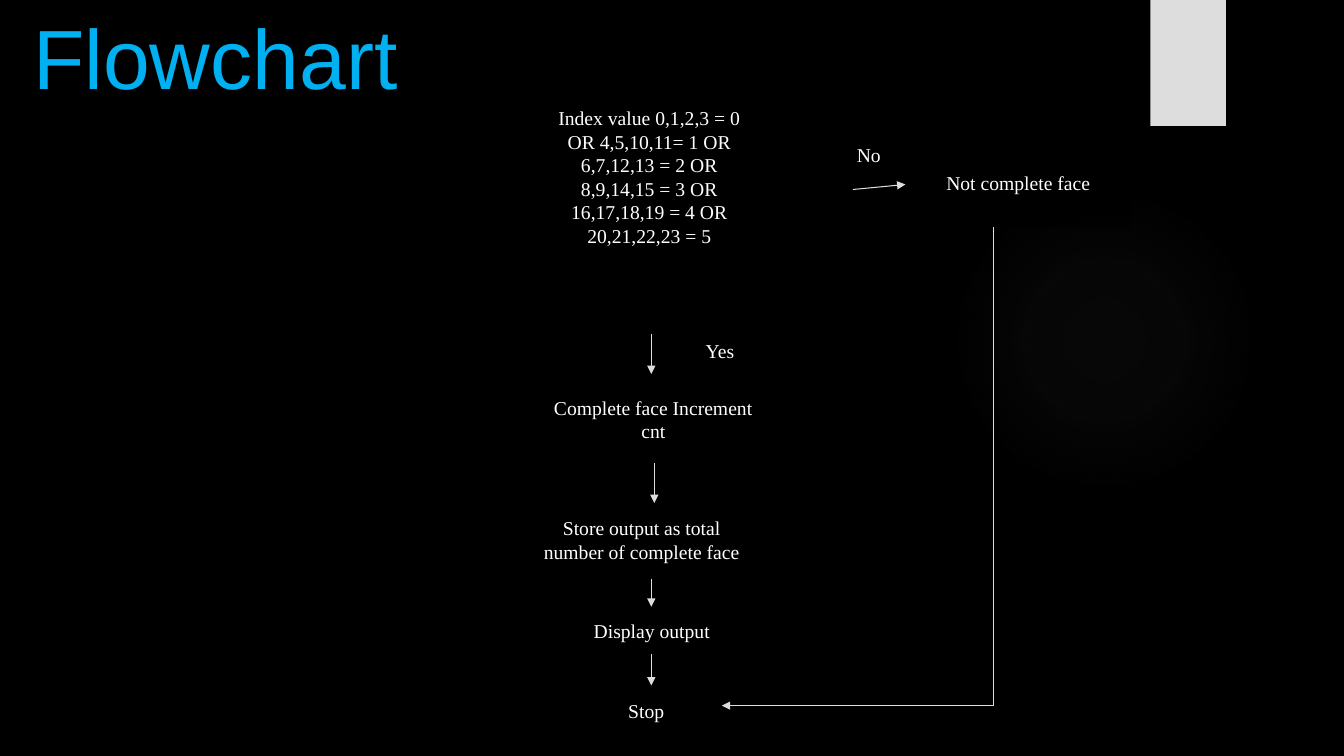
from dataclasses import dataclass

from lxml.etree import SubElement
from pptx import Presentation
from pptx.dml.color import RGBColor
from pptx.enum.shapes import MSO_CONNECTOR, MSO_SHAPE
from pptx.enum.text import MSO_ANCHOR, PP_ALIGN
from pptx.oxml import parse_xml
from pptx.oxml.ns import nsdecls, qn
from pptx.util import Inches, Pt


@dataclass(frozen=True)
class Theme:
    background: str = "000000"
    title: str = "00B0F0"
    text: str = "FFFFFF"
    line: str = "DDDDDD"
    glow: str = "666666"
    title_font: str = "Arial"
    body_font: str = "Times New Roman"
    title_size: int = 60
    body_size: int = 14
    line_width: float = 0.75
    step_opacity: int = 50


THEME = Theme()

TITLE = "Flowchart"
TITLE_BOX = (0, 0, 5.66, 1.11)
GLOW_BOX = (9.41, 1.83, 3.08, 3.08)
GLOW_STOPS = [(0, 7), (36, 6), (69, 0)]
RIBBON_BOX = (11.41, 0, 0.75, 1.25)

CONDITION = (
    "Index value 0,1,2,3 = 0 OR 4,5,10,11= 1 OR 6,7,12,13 = 2 OR "
    "8,9,14,15 = 3 OR 16,17,18,19 = 4 OR 20,21,22,23 = 5"
)
STEPS = [
    (MSO_SHAPE.FLOWCHART_DECISION, CONDITION, (4.34, 0.48, 4.2, 2.83), 0.33),
    (MSO_SHAPE.FLOWCHART_PROCESS, "Not complete face", (8.98, 1.37, 2.24, 0.88), 0.05),
    (MSO_SHAPE.FLOWCHART_PROCESS, "Complete face Increment cnt", (5.36, 3.72, 2.24, 0.88), 0.05),
    (MSO_SHAPE.FLOWCHART_DATA, "Store output as total number of complete face", (4.57, 4.97, 3.59, 0.77), 0.05),
    (MSO_SHAPE.FLOWCHART_PROCESS, "Display output", (5.25, 6.02, 2.43, 0.47), 0.05),
    (MSO_SHAPE.FLOWCHART_TERMINATOR, "Stop", (5.66, 6.8, 1.5, 0.51), 0.05),
]
BRANCH_LABELS = [("No", (8.4, 1.37, 0.7, 0.5)), ("Yes", (6.9, 3.31, 0.7, 0.5))]

DOWN_ARROWS = [(6.46, 3.31, 3.71), (6.49, 4.59, 4.99), (6.46, 5.74, 6.02), (6.46, 6.49, 6.8)]
LINKS = [((x, top), (x, bottom), True) for x, top, bottom in DOWN_ARROWS] + [
    ((8.46, 1.88), (8.98, 1.83), True),
    ((9.85, 2.25), (9.85, 7), False),
    ((9.85, 7), (7.16, 7), True),
]


def color(value):
    return RGBColor.from_string(value)


def lengths(values):
    return [Inches(value) for value in values]


def set_text(shape, text, font_name, size, text_color, alignment=PP_ALIGN.LEFT):
    frame = shape.text_frame
    frame.word_wrap = True
    frame.text = text
    paragraph = frame.paragraphs[0]
    paragraph.alignment = alignment
    paragraph.font.name = font_name
    paragraph.font.size = Pt(size)
    paragraph.font.color.rgb = color(text_color)
    return frame


def add_filled_shape(slide, kind, box, fill):
    shape = slide.shapes.add_shape(kind, *lengths(box))
    shape.shadow.inherit = False
    shape.fill.solid()
    shape.fill.fore_color.rgb = color(fill)
    shape.line.fill.background()
    return shape


def add_glow(slide):
    shape = add_filled_shape(slide, MSO_SHAPE.OVAL, GLOW_BOX, THEME.glow)
    stops = "".join(
        f'<a:gs pos="{position * 1000}"><a:srgbClr val="{THEME.glow}">'
        f'<a:alpha val="{opacity * 1000}"/></a:srgbClr></a:gs>'
        for position, opacity in GLOW_STOPS
    )
    gradient = parse_xml(
        f'<a:gradFill {nsdecls("a")}><a:gsLst>{stops}</a:gsLst><a:path path="circle">'
        '<a:fillToRect l="50000" t="50000" r="50000" b="50000"/></a:path></a:gradFill>'
    )
    properties = shape.element.spPr
    properties.replace(properties.find(qn("a:solidFill")), gradient)


def add_title(slide):
    title = slide.shapes.title
    title.left, title.top, title.width, title.height = lengths(TITLE_BOX)
    frame = set_text(title, TITLE, THEME.title_font, THEME.title_size, THEME.title)
    frame.vertical_anchor = MSO_ANCHOR.TOP
    frame.margin_left = Inches(0.33)


def add_step(slide, kind, text, box, bottom_margin):
    shape = add_filled_shape(slide, kind, box, THEME.background)
    fill_color = shape.element.spPr.find(qn("a:solidFill"))[0]
    SubElement(fill_color, qn("a:alpha"), val=str(THEME.step_opacity * 1000))
    frame = set_text(shape, text, THEME.body_font, THEME.body_size, THEME.text, PP_ALIGN.CENTER)
    frame.vertical_anchor = MSO_ANCHOR.MIDDLE
    frame.margin_bottom = Inches(bottom_margin)


def add_link(slide, start, end, has_arrow):
    connector = slide.shapes.add_connector(MSO_CONNECTOR.STRAIGHT, *lengths(start + end))
    connector.line.color.rgb = color(THEME.line)
    connector.line.width = Pt(THEME.line_width)
    if has_arrow:
        SubElement(connector.line._get_or_add_ln(), qn("a:tailEnd"), type="triangle")
    SubElement(connector.element.spPr, qn("a:effectLst"))


def main():
    presentation = Presentation()
    presentation.slide_width = Inches(13.33)
    presentation.slide_height = Inches(7.5)
    slide = presentation.slides.add_slide(presentation.slide_layouts[5])
    slide.background.fill.solid()
    slide.background.fill.fore_color.rgb = color(THEME.background)

    add_glow(slide)
    add_filled_shape(slide, MSO_SHAPE.RECTANGLE, RIBBON_BOX, THEME.line)
    add_title(slide)
    for step in STEPS:
        add_step(slide, *step)
    for text, box in BRANCH_LABELS:
        label = slide.shapes.add_textbox(*lengths(box))
        set_text(label, text, THEME.body_font, THEME.body_size, THEME.text)
    for link in LINKS:
        add_link(slide, *link)

    presentation.save("out.pptx")


if __name__ == "__main__":
    main()
